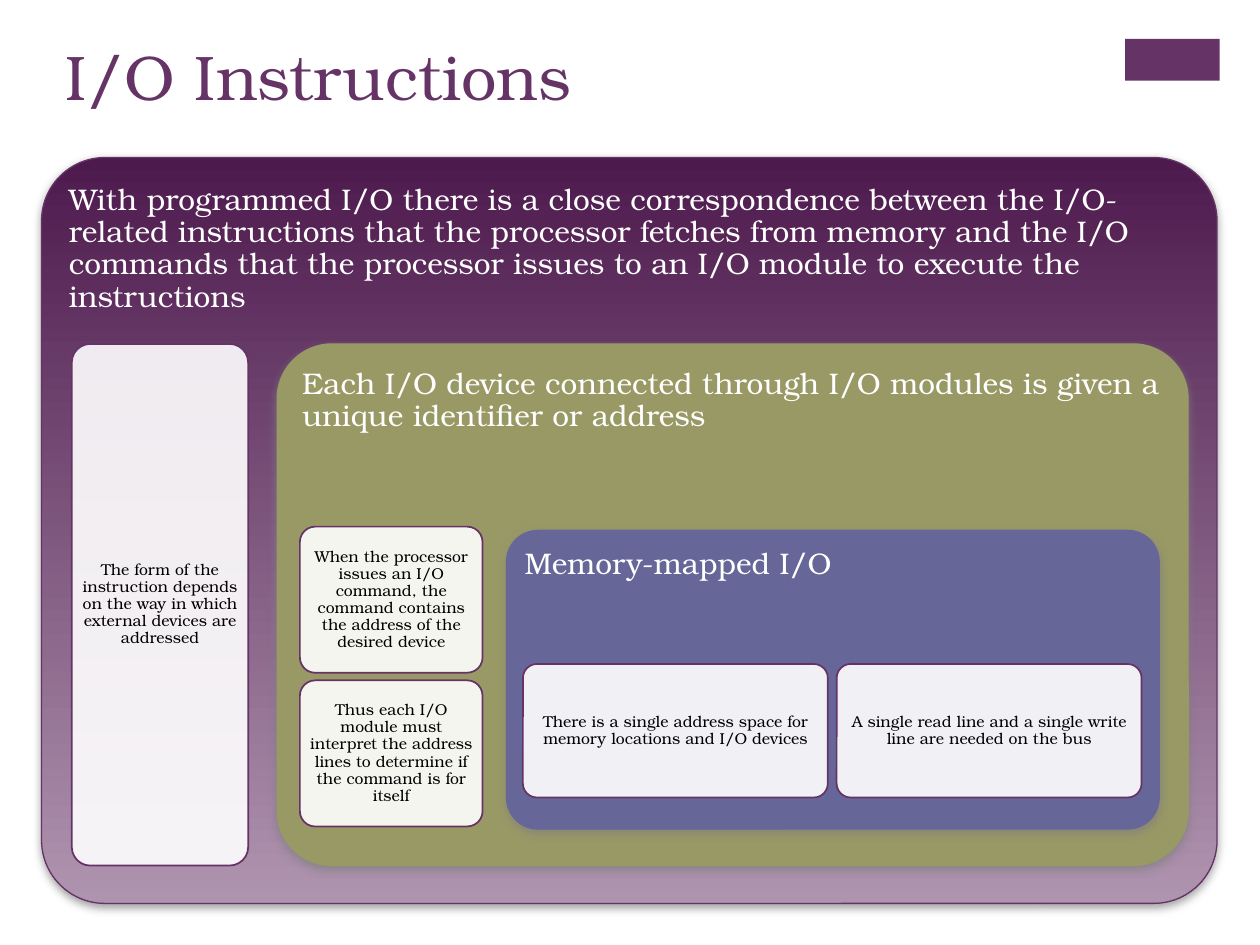
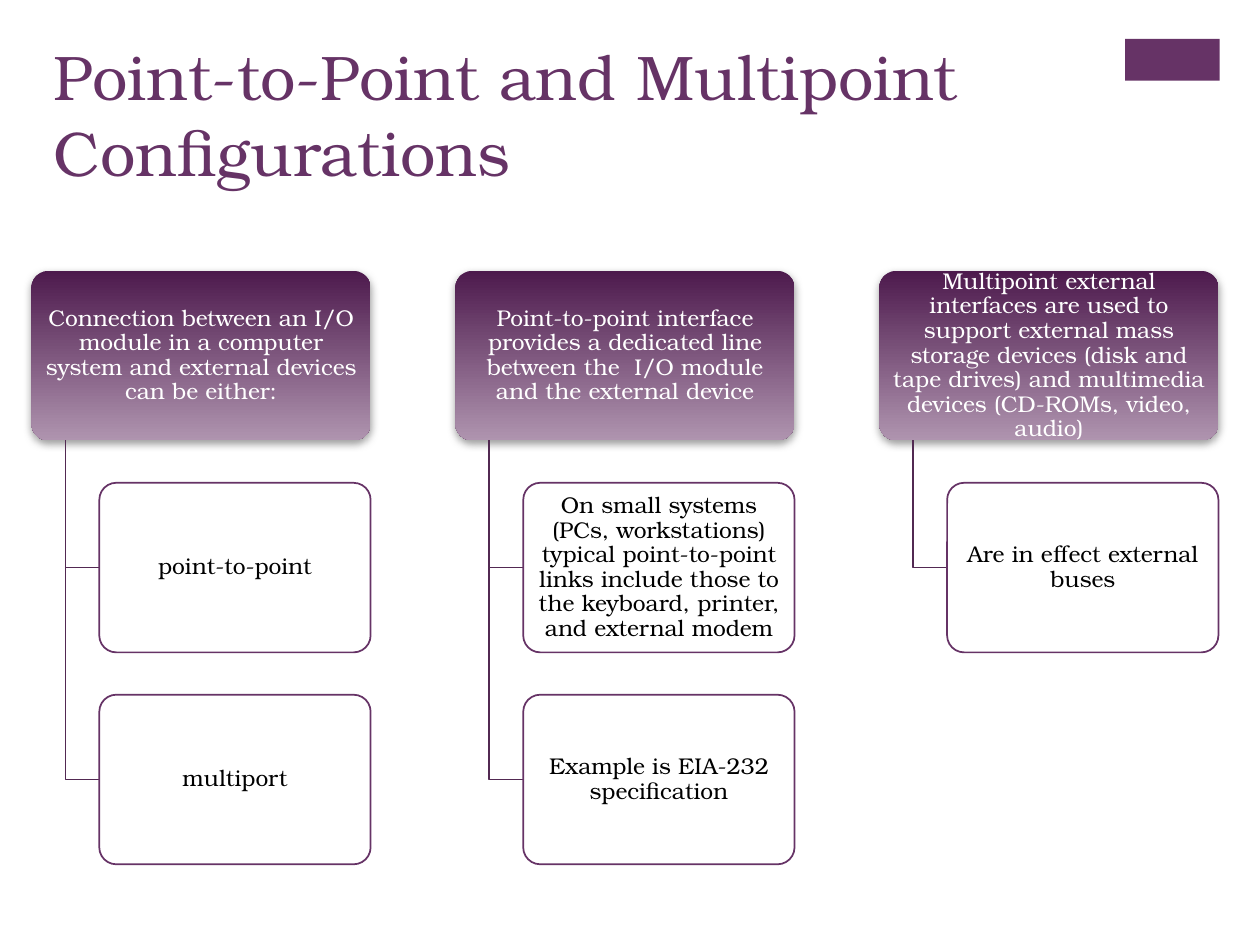
from collections import namedtuple

from lxml.etree import SubElement
from pptx import Presentation
from pptx.dml.color import RGBColor
from pptx.enum.shapes import MSO_SHAPE
from pptx.enum.text import MSO_ANCHOR, PP_ALIGN
from pptx.oxml.ns import qn
from pptx.util import Inches, Pt

PURPLE = RGBColor(0x66, 0x33, 0x66)
DEEP_PURPLE = RGBColor(0x4D, 0x1A, 0x4D)
PALE_PURPLE = RGBColor(0xAF, 0x94, 0xAF)
BRANCH_PURPLE = RGBColor(0x52, 0x29, 0x52)
OLIVE = RGBColor(0x99, 0x99, 0x66)
BLUE = RGBColor(0x66, 0x66, 0x99)
GRAY = RGBColor(0x80, 0x80, 0x80)
WHITE = RGBColor(0xFF, 0xFF, 0xFF)
BLACK = RGBColor(0x00, 0x00, 0x00)
GRADIENT = (DEEP_PURPLE, PALE_PURPLE)

FONT = "TeX Gyre Bonum"
PANEL_TEXT = {"size": Pt(17), "color": WHITE, "align": PP_ALIGN.LEFT,
              "anchor": MSO_ANCHOR.TOP, "insets": (0.07, 0.07)}
NOTE_TEXT = {"size": Pt(9), "color": BLACK, "align": PP_ALIGN.CENTER,
             "anchor": MSO_ANCHOR.MIDDLE, "insets": (0.04, 0.04)}
CHILD_TEXT = {**NOTE_TEXT, "size": Pt(13), "insets": (0.03, 0.02)}
HEADER_TEXT = {**CHILD_TEXT, "color": WHITE}
TITLE_TEXT = {"size": Pt(36), "color": PURPLE, "align": PP_ALIGN.LEFT,
              "anchor": MSO_ANCHOR.TOP, "insets": (0.1, 0.05), "spacing": 1.0}

Box = namedtuple("Box", "left top width height")


def within(box, left, top, width, height):
    return Box(box.left + left, box.top + top, width, height)


def write(shape, text, style):
    frame = shape.text_frame
    across, down = style["insets"]
    frame_format = {"word_wrap": True, "vertical_anchor": style["anchor"],
                    "margin_left": Inches(across), "margin_right": Inches(across),
                    "margin_top": Inches(down), "margin_bottom": Inches(down)}
    for name, value in frame_format.items():
        setattr(frame, name, value)
    para = frame.paragraphs[0]
    para.alignment = style["align"]
    para.line_spacing = style.get("spacing", 0.9)
    span = para.add_run()
    span.text = text
    for name, value in {"name": FONT, "size": style["size"]}.items():
        setattr(span.font, name, value)
    span.font.color.rgb = style["color"]


def add_shadow(shape):
    effects = shape._element.spPr.find(qn("a:effectLst"))
    shadow = SubElement(effects, qn("a:outerShdw"), blurRad=str(Pt(5)),
                        dist=str(Pt(2)), dir="5400000", rotWithShape="0")
    color = SubElement(shadow, qn("a:srgbClr"), val=str(GRAY))
    SubElement(color, qn("a:alpha"), val="75000")


def add_rounded(page, box, corner, fill, text, style,
                line=None, line_width=0.75, alpha=None, shadow=False):
    shape = page.shapes.add_shape(MSO_SHAPE.ROUNDED_RECTANGLE, *map(Inches, box))
    shape.adjustments[0] = corner
    shape.shadow.inherit = False
    if fill == GRADIENT:
        shape.fill.gradient()
        shape.fill.gradient_angle = 270
        for stop, color in zip(shape.fill.gradient_stops, GRADIENT):
            stop.color.rgb = color
    else:
        shape.fill.solid()
        shape.fill.fore_color.rgb = fill
    if alpha is not None:
        color = shape._element.spPr.find(qn("a:solidFill")).find(qn("a:srgbClr"))
        SubElement(color, qn("a:alpha"), val=str(alpha * 1000))
    if line is None:
        shape.line.fill.background()
    else:
        shape.line.color.rgb = line
        shape.line.width = Pt(line_width)
    if shadow:
        add_shadow(shape)
    write(shape, text, style)


def add_panel(page, box, corner, fill, line, text):
    add_rounded(page, box, corner, fill, text, PANEL_TEXT, line, shadow=True)


def add_card(page, box, corner, text, style):
    add_rounded(page, box, corner, WHITE, text, style, PURPLE, 1, alpha=90)


def add_page(deck, title, title_box):
    page = deck.slides.add_slide(deck.slide_layouts[6])
    tab = page.shapes.add_shape(MSO_SHAPE.RECTANGLE,
                                *map(Inches, (8.93, 0.31, 0.75, 0.33)))
    tab.shadow.inherit = False
    tab.fill.solid()
    tab.fill.fore_color.rgb = PURPLE
    tab.line.fill.background()
    write(page.shapes.add_textbox(*map(Inches, title_box)), title, TITLE_TEXT)
    return page


def add_memory_mapped(page, box):
    add_panel(page, box, 0.105, BLUE, BLUE, "Memory-mapped I/O")
    notes = ("There is a single address space for memory locations and I/O devices",
             "A single read line and a single write line are needed on the bus")
    for column, note in enumerate(notes):
        add_card(page, within(box, 0.13 + 2.49 * column, 1.06, 2.42, 1.06),
                 0.105, note, NOTE_TEXT)


def add_device_address(page, box):
    add_panel(page, box, 0.105, OLIVE, OLIVE,
              "Each I/O device connected through I/O modules is given a unique "
              "identifier or address")
    notes = ("When the processor issues an I/O command, the command contains the "
             "address of the desired device",
             "Thus each I/O module must interpret the address lines to determine "
             "if the command is for itself")
    for row, note in enumerate(notes):
        add_card(page, within(box, 0.18, 1.45 + 1.22 * row, 1.45, 1.16),
                 0.105, note, NOTE_TEXT)
    add_memory_mapped(page, within(box, 1.82, 1.48, 5.18, 2.37))


def add_programmed_io(page, box):
    add_panel(page, box, 0.085, GRADIENT, PURPLE,
              "With programmed I/O there is a close correspondence between the "
              "I/O-related instructions that the processor fetches from memory and "
              "the I/O commands that the processor issues to an I/O module to "
              "execute the instructions")
    add_card(page, within(box, 0.24, 1.48, 1.4, 4.14), 0.105,
             "The form of the instruction depends on the way in which external "
             "devices are addressed", NOTE_TEXT)
    add_device_address(page, within(box, 1.87, 1.48, 7.23, 4.14))


def add_branch(page, left, top, right, bottom):
    builder = page.shapes.build_freeform(Inches(left), Inches(top))
    builder.add_line_segments([(Inches(left), Inches(bottom)),
                               (Inches(right), Inches(bottom))], close=False)
    branch = builder.convert_to_shape()
    branch.shadow.inherit = False
    branch.fill.background()
    branch.line.color.rgb = BRANCH_PURPLE
    branch.line.width = Pt(1)


def add_tree(page, left, top, width, header, children):
    height = width / 2
    step = height * 1.25
    add_rounded(page, Box(left, top, width, height), 0.1, GRADIENT, header,
                HEADER_TEXT, shadow=True)
    child_left = left + width * 0.2
    for row, child in enumerate(children, 1):
        child_top = top + step * row
        add_branch(page, left + width * 0.1, top + height,
                   child_left, child_top + height / 2)
        add_card(page, Box(child_left, child_top, width * 0.8, height),
                 0.1, child, CHILD_TEXT)


def add_configurations(page, box):
    trees = (
        ("Connection between an I/O module in a computer system and external "
         "devices can be either:",
         ("point-to-point", "multiport")),
        ("Point-to-point interface provides a dedicated line between the  I/O "
         "module and the external device",
         ("On small systems (PCs, workstations) typical point-to-point links "
          "include those to the keyboard, printer, and external modem",
          "Example is EIA-232 specification")),
        ("Multipoint external interfaces are used to support external mass "
         "storage devices (disk and tape drives) and multimedia devices "
         "(CD-ROMs, video, audio)",
         ("Are in effect external buses",)),
    )
    width = box.width / 3.5
    for column, (header, children) in enumerate(trees):
        add_tree(page, box.left + width * 1.25 * column, box.top, width,
                 header, children)


def main():
    deck = Presentation()
    deck.slide_width = Inches(10)
    deck.slide_height = Inches(7.5)
    page = add_page(deck, "I/O Instructions", Box(0.42, 0.25, 8.26, 1.22))
    add_programmed_io(page, Box(0.33, 1.25, 9.33, 5.92))
    page = add_page(deck, "Point-to-Point and Multipoint Configurations",
                    Box(0.33, 0.25, 8.26, 1.33))
    add_configurations(page, Box(0.25, 2.15, 9.42, 4.7))
    deck.save("out.pptx")


if __name__ == "__main__":
    main()
